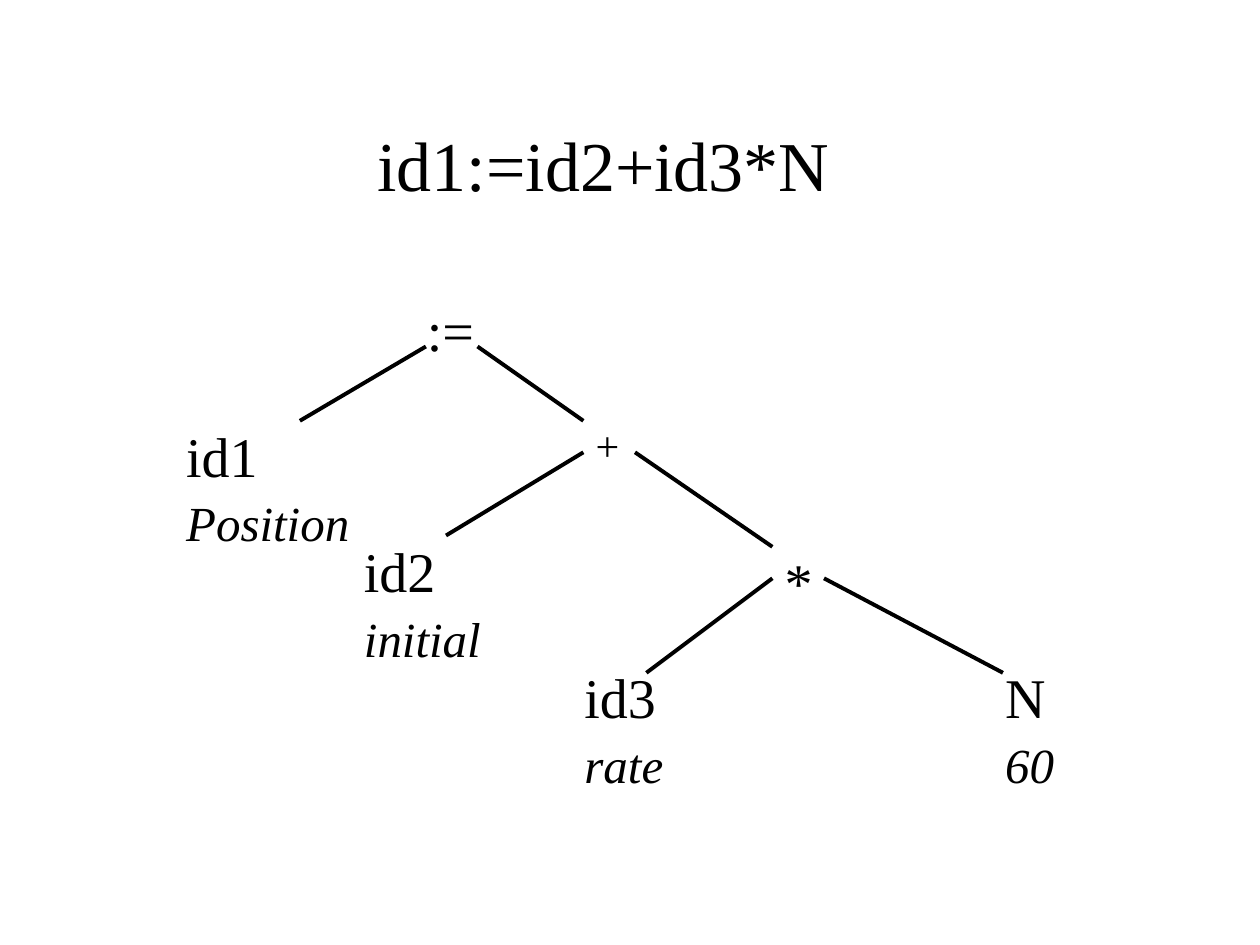
from dataclasses import dataclass

from lxml import etree
from pptx import Presentation
from pptx.dml.color import RGBColor
from pptx.enum import shapes, text
from pptx.oxml import ns
from pptx.util import Inches, Pt


@dataclass(frozen=True)
class Theme:
    """Colours, type sizes and line settings of the slide."""
    ink: RGBColor = RGBColor(0, 0, 0)
    font: str = "Times New Roman"
    title: int = 40
    node: int = 32
    plus: int = 24
    lexeme: int = 28
    branch: float = 2.25
    leading: float = 1.08


THEME = Theme()

OPERATORS = [
    (":=", THEME.node, 1.91, 0, 0.67, 0.64),
    ("+", THEME.plus, 3.25, 1, 0.67, 0.5),
    ("*", THEME.node, 4.75, 2, 0.67, 0.64),
]
LEAVES = [
    ("id1 ", "Position", 0, 1, 1.67),
    ("id2 ", "initial", 1.41, 1.92, 1.25),
    ("id3 ", "rate", 3.16, 2.92, 0.92),
    ("N ", "60", 6.5, 2.92, 0.67),
]
LEAF_HEIGHT = 1.1
BRANCHES = [
    (1, 1.09, 2, 0.5),
    (2.41, 0.5, 3.25, 1.09),
    (3.25, 1.34, 2.16, 2),
    (3.66, 1.34, 4.75, 2.09),
    (5.16, 2.34, 6.58, 3.09),
    (4.75, 2.34, 3.75, 3.09),
]


def apply(target, values):
    """Set each named attribute on the target."""
    for name, value in values.items():
        setattr(target, name, value)


def add_run(paragraph, wording, size, italic=False):
    """Add one run in the slide's type."""
    run = paragraph.add_run()
    run.text = wording
    apply(run.font, {"name": THEME.font, "size": Pt(size), "italic": italic})
    run.font.color.rgb = THEME.ink


def add_title(slide, left, top, width, height):
    """Place the statement in the title placeholder."""
    title = slide.shapes.title
    apply(title, {"left": Inches(left), "top": Inches(top),
                  "width": Inches(width), "height": Inches(height)})
    apply(title.text_frame, {"vertical_anchor": text.MSO_ANCHOR.MIDDLE,
                             "margin_right": Inches(0.52), "word_wrap": True})
    statement = title.text_frame.paragraphs[0]
    statement.alignment = text.PP_ALIGN.CENTER
    add_run(statement, "id1:=id2+id3*N", THEME.title)


def add_node(tree, left, top, width, height, runs):
    """Add one labelled node made of (wording, size, italic) runs."""
    node = tree.shapes.add_textbox(Inches(left), Inches(top), Inches(width), Inches(height))
    node.text_frame.word_wrap = True
    label = node.text_frame.paragraphs[0]
    label.line_spacing = THEME.leading
    for run in runs:
        add_run(label, *run)


def add_branch(tree, x1, y1, x2, y2):
    """Draw a plain line between two tree levels."""
    branch = tree.shapes.add_connector(
        shapes.MSO_CONNECTOR.STRAIGHT, Inches(x1), Inches(y1), Inches(x2), Inches(y2))
    branch.line.width = Pt(THEME.branch)
    branch.line.color.rgb = THEME.ink
    etree.SubElement(branch._element.spPr, ns.qn("a:effectLst"))


def add_syntax_tree(slide, left, top):
    """Build the grouped syntax tree from its top-left corner."""
    tree = slide.shapes.add_group_shape()
    for sign, size, x, y, width, height in OPERATORS:
        add_node(tree, left + x, top + y, width, height, [(sign, size)])
    for token, lexeme, x, y, width in LEAVES:
        add_node(tree, left + x, top + y, width, LEAF_HEIGHT,
                 [(token, THEME.node), (lexeme, THEME.lexeme, True)])
    for x1, y1, x2, y2 in BRANCHES:
        add_branch(tree, left + x1, top + y1, left + x2, top + y2)


def main():
    """Build and save the slide."""
    deck = Presentation()
    apply(deck, {"slide_width": Inches(10), "slide_height": Inches(7.5)})
    slide = deck.slides.add_slide(deck.slide_layouts[5])
    add_title(slide, 0.75, 0.67, 8.5, 1.25)
    add_syntax_tree(slide, 1.38, 2.25)
    deck.save("out.pptx")


if __name__ == "__main__":
    main()
